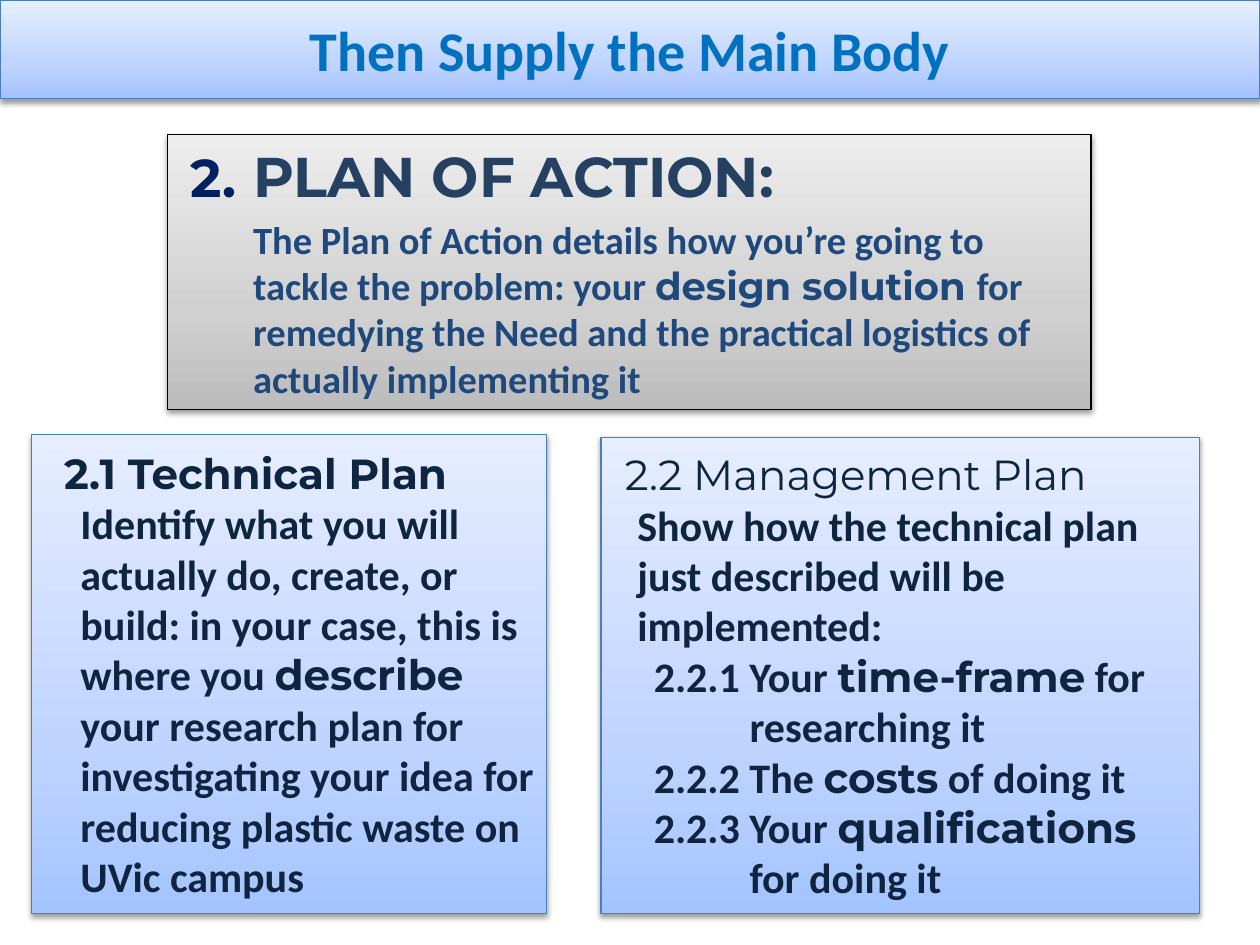
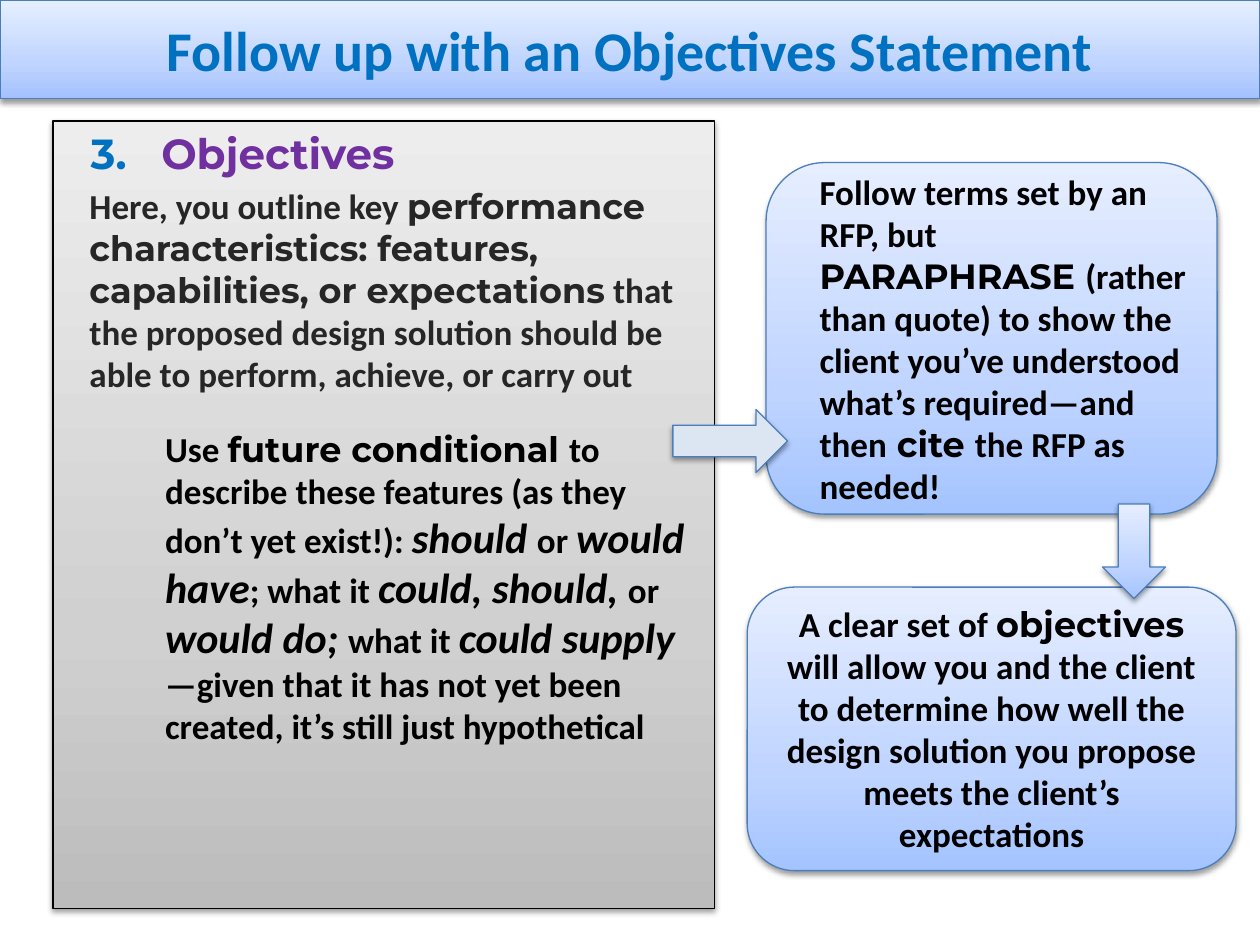
from dataclasses import dataclass

from lxml import etree
from pptx import Presentation
from pptx.dml.color import RGBColor
from pptx.enum.shapes import MSO_SHAPE
from pptx.enum.text import MSO_ANCHOR, MSO_AUTO_SIZE, PP_ALIGN
from pptx.oxml.ns import qn
from pptx.util import Inches, Pt

RECT = MSO_SHAPE.RECTANGLE
ROUND = MSO_SHAPE.ROUNDED_RECTANGLE
RIGHT = MSO_SHAPE.RIGHT_ARROW
DOWN = MSO_SHAPE.DOWN_ARROW
LEFT, CENTER = PP_ALIGN.LEFT, PP_ALIGN.CENTER
TOP, MIDDLE = MSO_ANCHOR.TOP, MSO_ANCHOR.MIDDLE
NO_FIT = MSO_AUTO_SIZE.NONE


@dataclass(frozen=True)
class Theme:
    plain: str = "Calibri"
    strong: str = "Montserrat"
    title: str = "0070C0"
    number: str = "002060"
    head: str = "254061"
    body: str = "1F497D"
    navy: str = "0F243E"
    purple: str = "7030A0"
    dark: str = "262626"
    black: str = "000000"
    edge: str = "4B7EBC"
    pale: str = "DCE6F2"
    blue: tuple = ((0, "A4C4FF"), (35, "BFD4FF"), (100, "E6EEFF"))
    gray: tuple = ((0, "BCBCBC"), (35, "D0D0D0"), (100, "EDEDED"))
    huge: int = 32
    large: int = 24
    medium: int = 22
    small: int = 20


T = Theme()


def rgb(code):
    return RGBColor.from_string(code)


def node(parent, tag, **attrs):
    return etree.SubElement(parent, qn(tag), attrs)


def blend(shape, stops):
    """Fill with gradient stops that run from bottom to top."""
    shape.fill.gradient()
    shape.fill.gradient_angle = 90
    group = shape.element.spPr.find(".//" + qn("a:gsLst"))
    for old in list(group):
        group.remove(old)
    for place, code in stops:
        stop = node(group, "a:gs", pos=str(place * 1000))
        node(stop, "a:srgbClr", val=code)


def shade(shape):
    """Give the shape a soft shadow straight below it."""
    shape.shadow.inherit = False
    effects = shape.element.spPr.find(qn("a:effectLst"))
    drop = node(effects, "a:outerShdw", blurRad=str(Pt(3.1)),
                dist=str(Pt(1.6)), dir="5400000", rotWithShape="0")
    color = node(drop, "a:srgbClr", val=T.black)
    node(color, "a:alpha", val="38000")


def style(shape, fill, edge):
    if isinstance(fill, str):
        shape.fill.solid()
        shape.fill.fore_color.rgb = rgb(fill)
    else:
        blend(shape, fill)
    shape.line.color.rgb = rgb(edge)
    shape.line.width = Pt(0.75)
    shade(shape)


def add_theme_style(shape):
    """Refer a placeholder to the theme's subtle accent style."""
    refs = etree.Element(qn("p:style"))
    for tag, idx, color in (("a:lnRef", "1", "accent1"), ("a:fillRef", "2", "accent1"),
                            ("a:effectRef", "1", "accent1"), ("a:fontRef", "minor", "dk1")):
        node(node(refs, tag, idx=idx), "a:schemeClr", val=color)
    shape.element.spPr.addnext(refs)


def place(shape, box):
    shape.left, shape.top, shape.width, shape.height = map(Inches, box)


def strong(text, **look):
    return text, {"font": T.strong, **look}


def slant(text):
    return text, {"size": T.large, "italic": True}


def para(*runs, size, color, left=0, first=0, before=0, align=LEFT, num=None):
    """Describe a paragraph; num is (start, colour, size percent)."""
    return dict(runs=runs, size=size, color=color, left=left, first=first,
                before=before, align=align, num=num)


def add_run(par, part, size, color):
    text, look = part if isinstance(part, tuple) else (part, {})
    run = par.add_run()
    run.text = text
    font = run.font
    font.name = look.get("font", T.plain)
    font.size = Pt(look.get("size", size))
    font.bold = look.get("bold", True)
    font.italic = look.get("italic", False)
    font.color.rgb = rgb(color)


def add_marker(props, num):
    if num is None:
        node(props, "a:buNone")
        return
    start, color, percent = num
    node(node(props, "a:buClr"), "a:srgbClr", val=color)
    node(props, "a:buSzPct", val=str(percent * 1000))
    node(props, "a:buFont", typeface=T.strong)
    node(props, "a:buAutoNum", type="arabicPeriod", startAt=str(start))


def write(shape, paras, anchor):
    frame = shape.text_frame
    frame.word_wrap = True
    frame.auto_size = NO_FIT
    frame.vertical_anchor = anchor
    for i, spec in enumerate(paras):
        par = frame.add_paragraph() if i else frame.paragraphs[0]
        props = par._p.get_or_add_pPr()
        props.set("marL", str(Inches(spec["left"])))
        props.set("indent", str(Inches(spec["first"])))
        add_marker(props, spec["num"])
        par.alignment = spec["align"]
        par.space_before = Pt(spec["before"])
        for part in spec["runs"]:
            add_run(par, part, spec["size"], spec["color"])


def add_slide(deck, title, box, paras):
    """Add a slide with a title and a gray body panel."""
    slide = deck.slides.add_slide(deck.slide_layouts[1])
    head, body = slide.shapes.title, slide.placeholders[1]
    place(head, (0, 0, 10, 0.78))
    add_theme_style(head)
    write(head, [para(title, size=T.huge, color=T.title, align=CENTER)], MIDDLE)
    place(body, box)
    style(body, T.gray, T.black)
    write(body, paras, TOP)
    return slide


def add_box(slide, kind, box, paras=(), fill=T.blue):
    shape = slide.shapes.add_shape(kind, *map(Inches, box))
    style(shape, fill, T.edge)
    if paras:
        write(shape, paras, MIDDLE)


def add_plan(deck):
    slide = add_slide(deck, "Then Supply the Main Body", (1.33, 1.07, 7.33, 2.18), [
        para(strong("PLAN OF ACTION:"), size=T.huge, color=T.head,
             left=0.58, first=-0.5, num=(2, T.number, 95)),
        para("The Plan of Action details how you’re going to tackle the problem: your ",
             strong("design solution "),
             "for remedying the Need and the practical logistics of actually "
             "implementing it",
             size=T.medium, color=T.body, left=0.58, before=4.4),
    ])
    look = dict(size=T.large, color=T.navy)
    add_box(slide, RECT, (0.25, 3.45, 4.09, 3.8), [
        para(strong("2.1 Technical Plan"), left=0.48, first=-0.32, **look),
        para("Identify what you will actually do, create, or build: "
             "in your case, this is where you ",
             strong("describe "),
             "your research plan for investigating your idea for "
             "reducing plastic waste on UVic campus", left=0.29, **look),
    ])
    steps = (("2.2.1 Your ", "time-frame", " for researching it"),
             ("2.2.2 The ", "costs", " of doing it"),
             ("2.2.3 Your ", "qualifications ", "for doing it"))
    add_box(slide, RECT, (4.77, 3.47, 4.75, 3.78), [
        para(strong("2.2 Management Plan", bold=False), left=0.69, first=-0.6, **look),
        para("Show how the technical plan just described will be implemented:",
             left=0.19, **look),
        *(para(lead, strong(key), rest, left=1.08, first=-0.76, **look)
          for lead, key, rest in steps),
    ])


def add_goals(deck):
    look = dict(size=T.small, color=T.black)
    slide = add_slide(
        deck, "Follow up with an Objectives Statement", (0.42, 0.96, 5.25, 6.25), [
            para(strong("Objectives"), size=T.large, color=T.purple,
                 left=0.76, first=-0.56, num=(3, T.title, 100)),
            para("Here, you outline key ",
                 strong("performance characteristics: features, capabilities, "
                        "or expectations"),
                 " that the proposed design solution should be able to perform, "
                 "achieve, or carry out",
                 size=T.small, color=T.dark, left=0.19, before=4),
            para("Use ", strong("future conditional "),
                 "to describe these features (as they don’t yet exist!): ",
                 slant("should "), "or ", slant("would have"), "; what it ",
                 slant("could, should, "), "or ", slant("would do; "), "what it ",
                 slant("could supply"),
                 "—given that it has not yet been created, it’s still just hypothetical",
                 left=0.79, before=18.5, **look),
        ])
    add_box(slide, ROUND, (6.08, 1.29, 3.58, 2.79), [
        para("Follow terms set by an RFP, but", left=0.19, **look),
        para(strong("PARAPHRASE "),
             "(rather than quote) to show the client you’ve understood "
             "what’s required—and then",
             strong(" cite "), "the RFP as needed!", left=0.19, **look),
    ])
    add_box(slide, RIGHT, (5.34, 3.25, 0.91, 0.5), fill=T.pale)
    add_box(slide, ROUND, (5.93, 4.66, 3.88, 2.25), [
        para("A clear set of ", strong("objectives "),
             "will allow you and the client to determine how well the design "
             "solution you propose meets the client’s expectations",
             align=CENTER, **look),
    ])
    add_box(slide, DOWN, (8.75, 4, 0.5, 0.75))


def main():
    deck = Presentation()
    deck.slide_width, deck.slide_height = Inches(10), Inches(7.5)
    add_plan(deck)
    add_goals(deck)
    deck.save("out.pptx")


if __name__ == "__main__":
    main()
